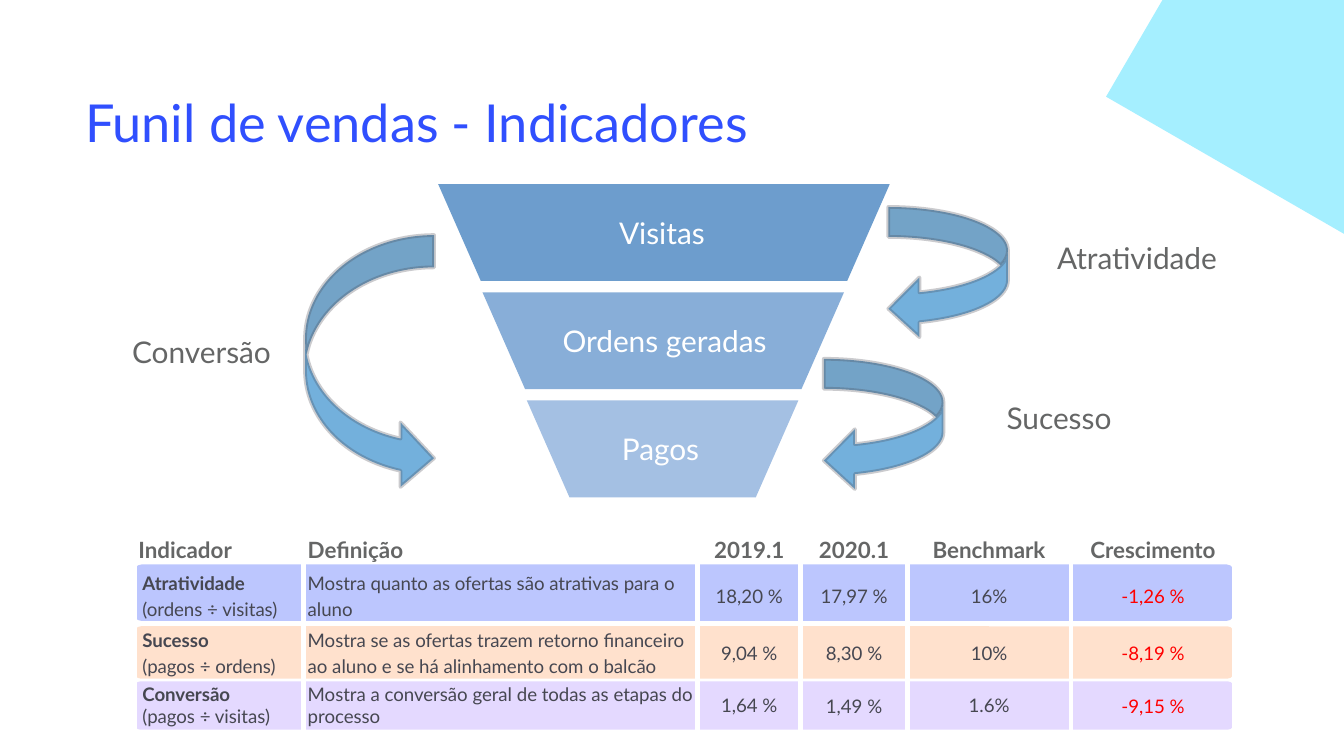
from lxml import etree
from pptx import Presentation, util as u
from pptx.dml.color import RGBColor
from pptx.enum import shapes, text
from pptx.oxml.ns import qn

COLS, ROWS = 100, 56.25  # grid cells of a tenth of an inch
BLUE, GREY, DARK, RED, WHITE = "304FFE", "656666", "464751", "FF0000", "FFFFFF"
KIND = shapes.MSO_SHAPE
MID = text.PP_ALIGN.CENTER


def paint(fill, code, alpha=100):
    fill.solid()
    fill.fore_color.rgb = RGBColor.from_string(code)
    if alpha < 100:
        clr = fill._xPr.find(".//" + qn("a:srgbClr"))
        etree.SubElement(clr, qn("a:alpha"), val=str(alpha * 1000))


def grid(*cells):
    return [u.Inches(c / 10) for c in cells]


class Deck:
    """Holds the font and the current slide."""

    def __init__(self, font="Lato"):
        self.font = font
        self.prs = Presentation()
        self.prs.slide_width, self.prs.slide_height = grid(COLS, ROWS)
        self.slide = self.prs.slides.add_slide(self.prs.slide_layouts[6])
        self.items = self.slide.shapes

    def style(self, par, size, code, bold=False, align=None):
        par.font.name, par.font.size, par.font.bold = self.font, u.Pt(size), bold
        paint(par.font.fill, code)
        par.alignment = align

    def label(self, words, box, size, code, align=MID, wrap=True):
        frame = self.items.add_textbox(*grid(*box)).text_frame
        frame.word_wrap = wrap
        frame.vertical_anchor = text.MSO_ANCHOR.MIDDLE
        frame.text = words
        self.style(frame.paragraphs[0], size, code, align=align)

    def shape(self, kind, box, code, alpha=100, adjust=(), turn=0):
        shp = self.items.add_shape(kind, *grid(*box))
        shp.shadow.inherit = False
        for i, val in enumerate(adjust):
            shp.adjustments[i] = val
        shp.rotation = turn
        paint(shp.fill, code, alpha)
        shp.line.fill.background()
        return shp

    def arrow(self, box, flip=False):
        shp = self.shape(KIND.CURVED_RIGHT_ARROW, box, "0070C0", 55, (0.25, 0.5, 0.26))
        paint(shp.line.fill, DARK, 28)
        shp.line.width = u.Pt(2)
        if flip:
            shp._element.spPr.xfrm.set("flipH", "1")

    def corner(self, first, *rest, code):
        pen = self.items.build_freeform(*grid(*first))
        pen.add_line_segments([grid(*p) for p in rest])
        shp = pen.convert_to_shape()
        shp.shadow.inherit = False
        paint(shp.fill, code)
        shp.line.fill.background()

    def border(self, cell):
        """White rules at the sides, none above or below."""
        props = cell._tc.get_or_add_tcPr()
        for i, side in enumerate("LRTB"):
            line = etree.Element(qn("a:ln" + side), w=str(u.Pt(3)))
            if side in "LR":
                fill = etree.SubElement(line, qn("a:solidFill"))
                etree.SubElement(fill, qn("a:srgbClr"), val=WHITE)
            else:
                etree.SubElement(line, qn("a:noFill"))
            props.insert(i, line)

    def table(self, left, top, wide, high, rows):
        box = grid(left, top, sum(wide), sum(high))
        tab = self.items.add_table(len(rows), len(wide), *box).table
        tab.first_row = tab.horz_banding = False
        for col, width in zip(tab.columns, grid(*wide)):
            col.width = width
        for row, height in zip(tab.rows, grid(*high)):
            row.height = height
        for r, row in enumerate(rows):
            for c, words in enumerate(row):
                self.cell(tab.cell(r, c), words, r, c, len(rows) - 1, len(wide) - 1)

    def cell(self, cell, words, r, c, last, end):
        cell.fill.background()
        self.border(cell)
        cell.vertical_anchor = text.MSO_ANCHOR.MIDDLE
        cell.margin_left = u.Inches(0.06 if r and not c else 0.03)
        cell.margin_right = u.Inches(0.03)
        cell.margin_top = cell.margin_bottom = u.Inches(0.02)
        cell.text = words
        tight = r == last and c not in (3, end)
        for i, par in enumerate(cell.text_frame.paragraphs):
            par.line_spacing = 1.0 if tight else 1.15
            code = GREY if not r else RED if c == end else DARK
            bold = not r or (c == 0 and i == 0)
            self.style(par, 10 if r else 12, code, bold, MID if c > 1 else None)


def main():
    deck = Deck()
    deck.corner((86.5, 0), (COLS, 0), (COLS, 17.4), (82.3, 7.2), code="A5EFFF")

    bands = [(42, 4.2, BLUE), (46.6, 3.9, "FFA366"), (50.7, 3.6, "AC8BFF")]
    for top, high, code in bands:
        deck.shape(KIND.ROUNDED_RECTANGLE, (10, top, 81.8, high), code, 32, (0.125,))
    deck.table(
        10, 39.4,
        (12.6, 29.3, 7.7, 7.9, 12.2, 12.2),
        (2.7, 4.25, 4.25, 3.75),
        [
            ("Indicador", "Definição", "2019.1", "2020.1", "Benchmark", "Crescimento"),
            ("Atratividade\n(ordens ÷ visitas)",
             "Mostra quanto as ofertas são atrativas para o aluno",
             "18,20 %", "17,97 %", "16%", "-1,26 %"),
            ("Sucesso\n(pagos ÷ ordens)",
             "Mostra se as ofertas trazem retorno financeiro ao aluno "
             "e se há alinhamento com o balcão",
             "9,04 %", "8,30 %", "10%", "-8,19 %"),
            ("Conversão\n(pagos ÷ visitas)",
             "Mostra a conversão geral de todas as etapas do processo",
             "1,64 %", "1,49 %", "1.6%", "-9,15 %"),
        ],
    )

    deck.label("Funil de vendas - Indicadores", (5.35, 5.5, 79.3, 7.1), 28, BLUE, None)

    stages = [("Visitas", "6D9DCD", 45, 8.5), ("Ordens geradas", "88AED8", 40.5, 17.9),
              ("Pagos", "A4C0E3", 45.1, 8.1)]
    for i, (name, code, left, wide) in enumerate(stages):
        top = 13.7 + 8.05 * i
        box = (32.6 + 3.3 * i, top, 33.6 - 6.7 * i, 7.2)
        deck.shape(KIND.TRAPEZOID, box, code, adjust=(0.44,), turn=180)
        deck.label(name, (left, top + 1.75, wide, 3.7), 16, WHITE, wrap=False)

    deck.arrow((22.7, 17.5, 9.6, 19))
    for left, top in [(66.1, 15.4), (61.3, 26.7)]:
        deck.arrow((left, top, 8.9, 9.8), flip=True)

    rates = [("Conversão", 8.2, 23.4, 13.6), ("Atratividade", 77.2, 16.4, 14.8),
             ("Sucesso", 71.4, 28.3, 14.8)]
    for name, left, top, wide in rates:
        deck.label(name, (left, top, wide, 5.5), 16, GREY)

    deck.prs.save("out.pptx")


if __name__ == "__main__":
    main()
